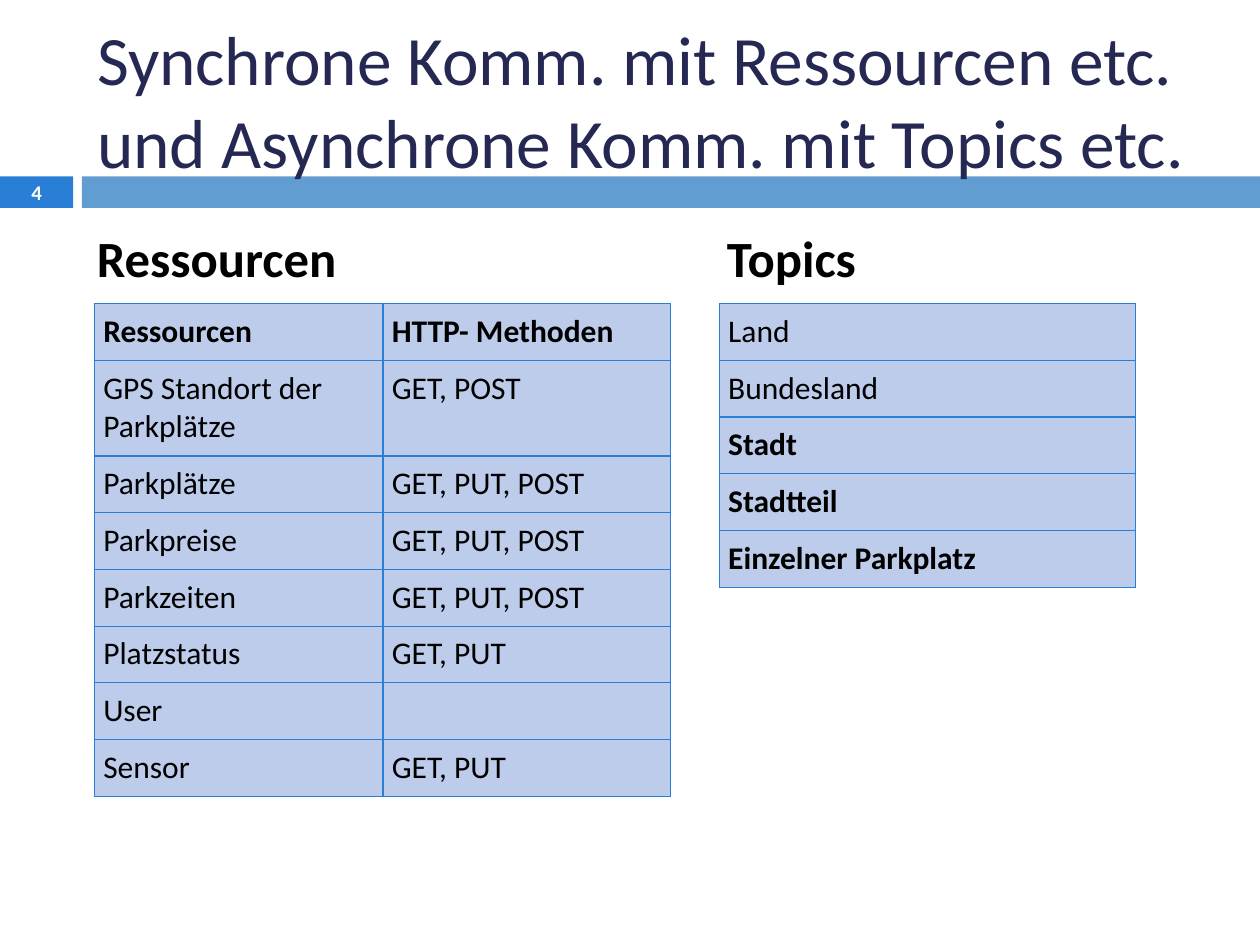
from dataclasses import dataclass

from lxml.etree import SubElement
from pptx import Presentation
from pptx.dml.color import RGBColor
from pptx.enum.shapes import MSO_SHAPE
from pptx.enum.text import MSO_ANCHOR, MSO_AUTO_SIZE, PP_ALIGN
from pptx.oxml.ns import qn
from pptx.slide import Slide
from pptx.text.text import TextFrame
from pptx.util import Inches, Pt


@dataclass(frozen=True)
class Theme:
    """Colours, font and type sizes of the slide."""
    font: str = "Calibri"
    navy: str = "242852"
    blue: str = "297FD5"
    sky: str = "629DD1"
    pale: str = "BDCCEA"
    black: str = "000000"
    white: str = "FFFFFF"
    title: float = 39.6
    head: float = 29
    cell: float = 18
    number: float = 11.9
    rule: float = 0.79


@dataclass(frozen=True)
class Bar:
    """A coloured part of the band below the title."""
    left: float
    width: float
    color: str


@dataclass(frozen=True)
class Grid:
    """A table: place, column widths, rows of text and bold rows."""
    left: float
    cols: tuple[float, ...]
    rows: tuple[tuple[str, ...], ...]
    bold: frozenset[int]
    tall: frozenset[int] = frozenset()


THEME = Theme()
TOP, ROW, TALL, PAD = 2.41, 0.45, 0.76, 0.07
BARS = (Bar(0, 0.58, THEME.blue), Bar(0.65, 9.35, THEME.sky))
GRIDS = (
    Grid(0.75, (2.29, 2.28), (
        ("Ressourcen", "HTTP- Methoden"),
        ("GPS Standort der Parkplätze", "GET, POST"),
        ("Parkplätze", "GET, PUT, POST"),
        ("Parkpreise", "GET, PUT, POST"),
        ("Parkzeiten", "GET, PUT, POST"),
        ("Platzstatus", "GET, PUT"),
        ("User", ""),
        ("Sensor", "GET, PUT"),
    ), frozenset({0}), frozenset({1})),
    Grid(5.71, (3.3,), (
        ("Land",), ("Bundesland",), ("Stadt",), ("Stadtteil",),
        ("Einzelner Parkplatz",),
    ), frozenset({2, 3, 4})),
)


def assign(item: object, values: dict) -> None:
    """Set attributes from a dict of format values."""
    for name, value in values.items():
        setattr(item, name, value)


def write(frame: TextFrame, text: str, size: float, color: str,
          bold: bool = False, align: PP_ALIGN = PP_ALIGN.LEFT) -> None:
    """Fill a text frame with one formatted paragraph."""
    para = frame.paragraphs[0]
    para.text = text
    para.alignment = align
    for run in para.runs:
        assign(run.font, {"name": THEME.font, "size": Pt(size), "bold": bold})
        run.font.color.rgb = RGBColor.from_string(color)


def draw_bar(slide: Slide, bar: Bar) -> None:
    """Draw one part of the band."""
    shape = slide.shapes.add_shape(MSO_SHAPE.RECTANGLE, Inches(bar.left),
                                   Inches(1.4), Inches(bar.width), Inches(0.25))
    shape.shadow.inherit = False
    shape.fill.solid()
    shape.fill.fore_color.rgb = RGBColor.from_string(bar.color)
    shape.line.fill.background()


def draw_title(slide: Slide, text: str) -> None:
    """Place and format the title placeholder."""
    title = slide.shapes.title
    assign(title, {"left": Inches(0.67), "top": Inches(0.25),
                   "width": Inches(8.92), "height": Inches(1.08)})
    assign(title.text_frame, {"word_wrap": True, "auto_size": MSO_AUTO_SIZE.NONE,
                              "vertical_anchor": MSO_ANCHOR.MIDDLE})
    write(title.text_frame, text, THEME.title, THEME.navy)


def draw_heads(slide: Slide, text: str) -> None:
    """Write both table headings, set apart by a tab stop."""
    box = slide.shapes.add_textbox(Inches(0.67), Inches(1.75),
                                   Inches(8.9), Inches(0.6))
    box.text_frame.word_wrap = True
    write(box.text_frame, text, THEME.head, THEME.black, True)
    para = box.text_frame.paragraphs[0]
    para.space_before = Pt(7)
    tabs = SubElement(para._p.get_or_add_pPr(), qn("a:tabLst"))
    SubElement(tabs, qn("a:tab"), pos=str(Inches(5)), algn="l")


def draw_number(slide: Slide, text: str) -> None:
    """Write the slide number on the left bar."""
    box = slide.shapes.add_textbox(0, Inches(1.39), Inches(0.58), Inches(0.27))
    assign(box.text_frame, {"word_wrap": True, "margin_top": 0, "margin_bottom": 0,
                            "vertical_anchor": MSO_ANCHOR.MIDDLE})
    write(box.text_frame, text, THEME.number, THEME.white, True, PP_ALIGN.CENTER)


def draw_grid(slide: Slide, grid: Grid) -> None:
    """Draw a table with filled, bordered cells."""
    highs = [TALL if i in grid.tall else ROW for i in range(len(grid.rows))]
    table = slide.shapes.add_table(
        len(grid.rows), len(grid.cols), Inches(grid.left), Inches(TOP),
        Inches(sum(grid.cols)), Inches(sum(highs))).table
    assign(table, {"first_row": False, "horz_banding": False})
    for col, width in zip(table.columns, grid.cols):
        col.width = Inches(width)
    sides = ("left", "right", "top", "bottom")
    for r, texts in enumerate(grid.rows):
        table.rows[r].height = Inches(highs[r])
        for c, text in enumerate(texts):
            cell = table.cell(r, c)
            assign(cell, {f"margin_{side}": Inches(PAD) for side in sides})
            write(cell.text_frame, text, THEME.cell, THEME.black, r in grid.bold)
            props = cell._tc.get_or_add_tcPr()
            for side in ("L", "R", "T", "B"):
                line = SubElement(props, qn(f"a:ln{side}"), w=str(Pt(THEME.rule)))
                fill = SubElement(line, qn("a:solidFill"))
                SubElement(fill, qn("a:srgbClr"), val=THEME.blue)
            cell.fill.solid()
            cell.fill.fore_color.rgb = RGBColor.from_string(THEME.pale)


def main() -> None:
    """Build the slide and save it."""
    deck = Presentation()
    assign(deck, {"slide_width": Inches(10), "slide_height": Inches(7.5)})
    slide = deck.slides.add_slide(deck.slide_layouts[5])
    for bar in BARS:
        draw_bar(slide, bar)
    # The title's descenders overlap the band, so it goes in front.
    tree = slide.shapes._spTree
    tree.append(slide.shapes.title._element)
    draw_title(slide, "Synchrone Komm. mit Ressourcen etc. "
                      "und Asynchrone Komm. mit Topics etc.")
    draw_heads(slide, "Ressourcen\tTopics")
    for grid in GRIDS:
        draw_grid(slide, grid)
    draw_number(slide, "4")
    deck.save("out.pptx")


main()
